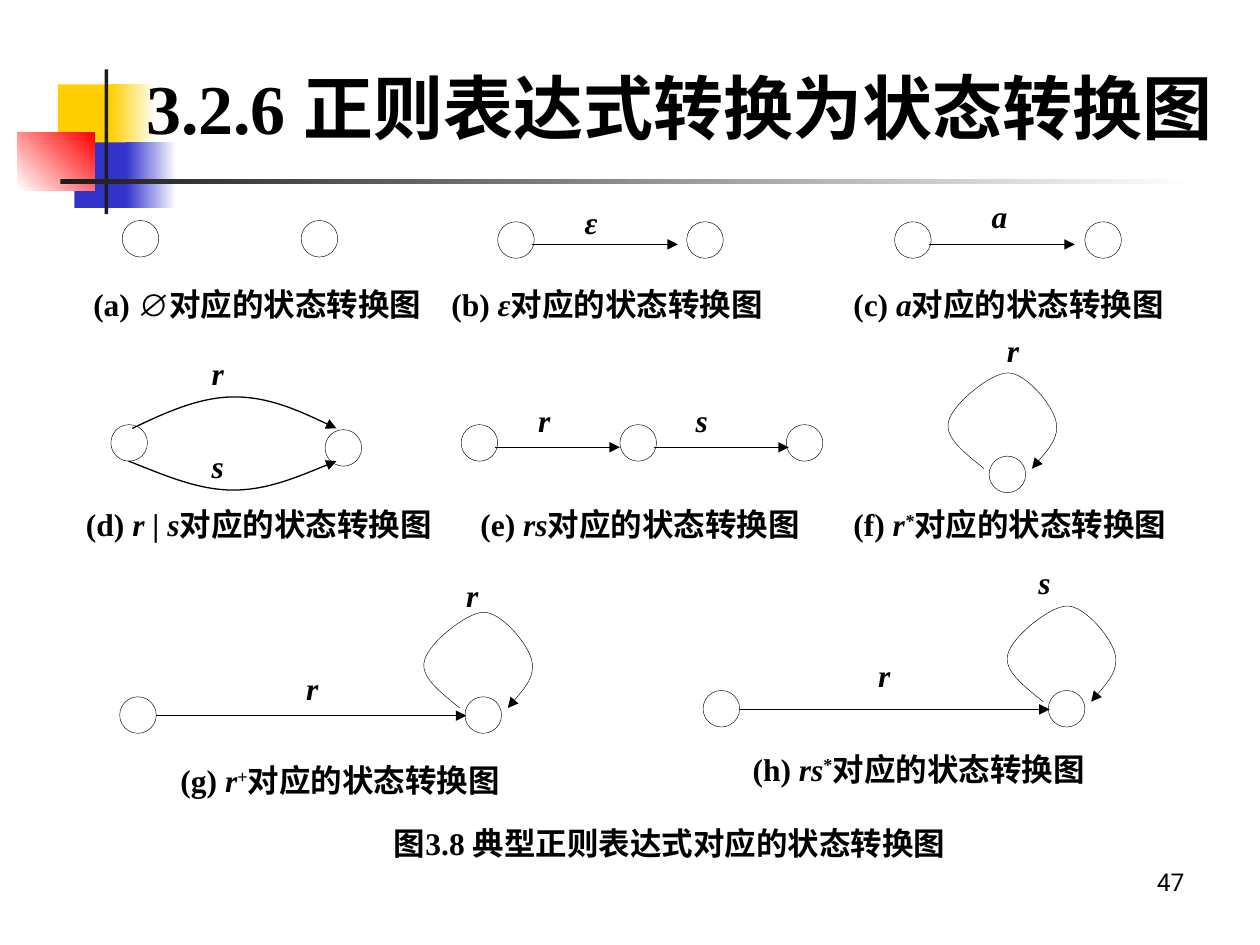
from pptx import Presentation
from pptx.dml.color import RGBColor
from pptx.enum.shapes import MSO_CONNECTOR, MSO_SHAPE
from pptx.enum.text import MSO_ANCHOR, MSO_AUTO_SIZE, PP_ALIGN
from pptx.oxml.ns import qn
from pptx.oxml.xmlchemy import OxmlElement
from pptx.util import Pt

PX = 9144  # 100 px to the inch
NODE = 29
FONT = "Times New Roman"
TAIL = "对应的状态转换图"
COLORS = {"ink": "000000", "white": "FFFFFF", "gold": "FFCF01",
          "blue": "3333CC", "red": "FF0000", "dark": "1C1C1C"}
LOOP = [(32, 76), (16, 63), (0, 51), (4, 38), (7, 25), (37, 0), (51, 0),
        (65, 0), (86, 25), (89, 38), (92, 51), (81, 63), (70, 76)]


def rgb(name):
    return RGBColor.from_string(COLORS[name])


def emu(*vals):
    return [v * PX for v in vals]


def write(para, runs, size=18, font=FONT, bold=True, align=PP_ALIGN.LEFT):
    """Add (text, style) runs; style holds i for italic, ^ for superscript."""
    para.alignment = align
    for words, style in runs:
        run = para.add_run()
        run.text = words
        run.font.size = Pt(size)
        run.font.name = "Arial" if words == "∅" else font
        run.font.bold = bold
        run.font.italic = "i" in style
        run.font.color.rgb = rgb("ink")
        if "^" in style:
            run._r.get_or_add_rPr().set("baseline", "30000")


def text(slide, box, runs, wrap=True, inset=(7, 3), **fmt):
    shape = slide.shapes.add_textbox(*emu(*box))
    frame = shape.text_frame
    frame.word_wrap = wrap
    frame.margin_left = frame.margin_right = inset[0] * PX
    frame.margin_top = frame.margin_bottom = inset[1] * PX
    write(frame.paragraphs[0], runs, **fmt)


def label(slide, x, y, sign):
    text(slide, (x, y, 45, 55), [(sign, "i")])


def caption(slide, x, y, w, *runs):
    text(slide, (x, y, w, 39), runs, wrap=False)


def ink(shape, width, head=False):
    shape.line.color.rgb = rgb("ink")
    shape.line.width = Pt(width)
    if head:
        end = OxmlElement("a:tailEnd")
        end.set("type", "triangle")
        shape.element.spPr.find(qn("a:ln")).append(end)


def node(slide, x, y):
    shape = slide.shapes.add_shape(MSO_SHAPE.OVAL, *emu(x, y, NODE, NODE))
    shape.shadow.inherit = False
    shape.fill.background()
    ink(shape, 0.25)


def arrow(slide, x, y, end):
    line = slide.shapes.add_connector(MSO_CONNECTOR.STRAIGHT, *emu(x, y, end, y))
    ink(line, 0.25, head=True)
    line.element.spPr.append(OxmlElement("a:effectLst"))


def curve(slide, x, y, points, width):
    """Draw a Bezier chain: a start point, then three points for each piece."""
    spots = [(x + dx, y + dy) for dx, dy in points]
    draw = slide.shapes.build_freeform(*spots[0], scale=PX)
    draw.add_line_segments(spots[1:], close=False)
    shape = draw.convert_to_shape()
    steps = list(shape.element.iter(qn("a:lnTo")))
    for i in range(0, len(steps), 3):
        bend = OxmlElement("a:cubicBezTo")
        steps[i].addprevious(bend)
        for step in steps[i:i + 3]:
            bend.append(step[0])
            step.getparent().remove(step)
    shape.shadow.inherit = False
    shape.fill.background()
    ink(shape, width, head=True)


def pair(slide, x, y, gap, sign=None, dx=0, dy=0):
    """Two states, joined by an arrow when a sign is given."""
    node(slide, x, y)
    node(slide, x + gap, y)
    if sign:
        arrow(slide, x + 27, y + 18, x + 143)
        label(slide, x + dx, y + dy, sign)


def fork(slide, x, y):
    """Two states joined by an upper and a lower arc."""
    node(slide, x, y)
    node(slide, x + 170, y + 4)
    curve(slide, x + 17, y - 22, [(0, 25), (27, 12), (54, 0), (81, 0),
                                  (108, 0), (135, 12), (162, 25)], 0.75)
    curve(slide, x + 14, y + 29, [(0, 0), (28, 11), (55, 23), (83, 23),
                                  (110, 23), (138, 11), (165, 0)], 0.75)
    label(slide, x + 73, y - 59, "r")
    label(slide, x + 73, y + 15, "s")


def chain(slide, x, y):
    for dx in (0, 126, 258):
        node(slide, x + dx, y)
    for sign, start, end, dx in (("r", 27, 126, 54), ("s", 153, 260, 179)):
        arrow(slide, x + start, y + 18, x + end)
        label(slide, x + dx, y - 22, sign)


def loop(slide, x, y, sign, dx, dy, drop=67):
    node(slide, x + 36, y + drop)
    curve(slide, x, y, LOOP, 0.25)
    label(slide, x + dx, y + dy, sign)


def lead(slide, x, y, sign, spot, mark):
    """A state whose arrow leads to a looping state."""
    node(slide, x, y + 67)
    arrow(slide, x + NODE, y + 82, x + 275)
    label(slide, x + mark[0], y + mark[1], "r")
    loop(slide, x + 238, y, sign, *spot)


def decor(slide, x, y):
    for dx, dy, w, h, hues, angle in (
            (32, 12, 48, 52, ["gold"], 0),
            (74, 12, 36, 52, ["gold", "white"], 0),
            (45, 58, 46, 52, ["blue"], 0),
            (86, 58, 40, 52, ["blue", "white"], 0),
            (0, 50, 61, 46, ["white", "red"], 45),
            (69, 0, 3, 115, ["dark"], 0),
            (34, 87, 900, 4, ["dark", "white"], 0)):
        shape = slide.shapes.add_shape(MSO_SHAPE.RECTANGLE, *emu(x + dx, y + dy, w, h))
        shape.shadow.inherit = False
        shape.line.fill.background()
        if len(hues) == 1:
            shape.fill.solid()
            shape.fill.fore_color.rgb = rgb(hues[0])
            continue
        shape.fill.gradient()
        shape.fill.gradient_angle = angle
        for stop, hue in zip(shape.fill.gradient_stops, hues):
            stop.color.rgb = rgb(hue)


def heading(slide, box, words):
    title = slide.shapes.title
    title.left, title.top, title.width, title.height = emu(*box)
    frame = title.text_frame
    frame.auto_size = MSO_AUTO_SIZE.NONE
    frame.vertical_anchor = MSO_ANCHOR.MIDDLE
    write(frame.paragraphs[0], [(words, "")], size=40)
    title.element.getparent().append(title.element)  # in front of the decor


def main():
    prs = Presentation()
    prs.slide_width, prs.slide_height = emu(1000, 750)
    slide = prs.slides.add_slide(prs.slide_layouts[5])
    decor(slide, 14, 55)
    heading(slide, (106, 46, 890, 77), "3.2.6 正则表达式转换为状态转换图")

    pair(slide, 97, 175, 142)
    pair(slide, 395, 176, 150, "ε", 62, -18)
    pair(slide, 710, 176, 151, "a", 70, -23)
    fork(slide, 88, 337)
    chain(slide, 366, 337)
    loop(slide, 749, 296, "r", 43, -36, drop=66)
    lead(slide, 95, 486, "r", (30, -32), (141, 42))
    lead(slide, 558, 481, "s", (21, -37), (132, 37))

    end = (TAIL, "")
    caption(slide, 67, 223, 285, ("(a) ", ""), ("∅", ""), end)
    caption(slide, 345, 223, 280, (" (b) ", ""), ("ε", "i"), end)
    caption(slide, 664, 223, 280, (" (c) ", ""), ("a", "i"), end)
    caption(slide, 55, 398, 310, (" (d)", ""), (" r", "i"), (" | ", ""), ("s", "i"), end)
    caption(slide, 368, 398, 285, (" (e) ", ""), ("rs", "i"), end)
    caption(slide, 664, 398, 285, (" (f) ", ""), ("r", "i"), ("*", "i^"), end)
    caption(slide, 130, 601, 285, (" (g) ", ""), ("r", "i"), ("+", "^"), end)
    caption(slide, 584, 592, 295, (" (h)", ""), (" rs", "i"), ("*", "^"), end)
    caption(slide, 300, 651, 475, (" 图3.8 典型正则表达式对应的状态转换图", ""))
    text(slide, (717, 683, 233, 52), [("47", "")], inset=(10, 5), size=14,
         font="Roboto", bold=False, align=PP_ALIGN.RIGHT)
    prs.save("out.pptx")


if __name__ == "__main__":
    main()
